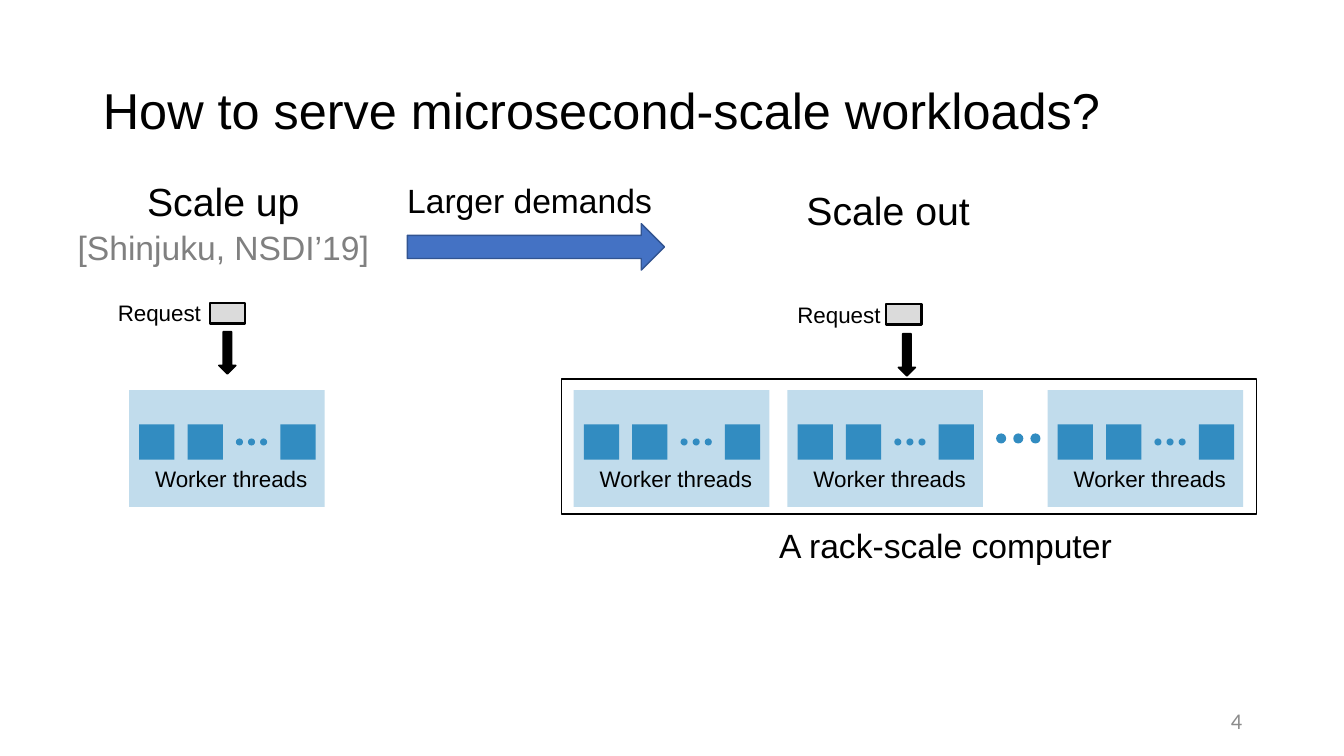
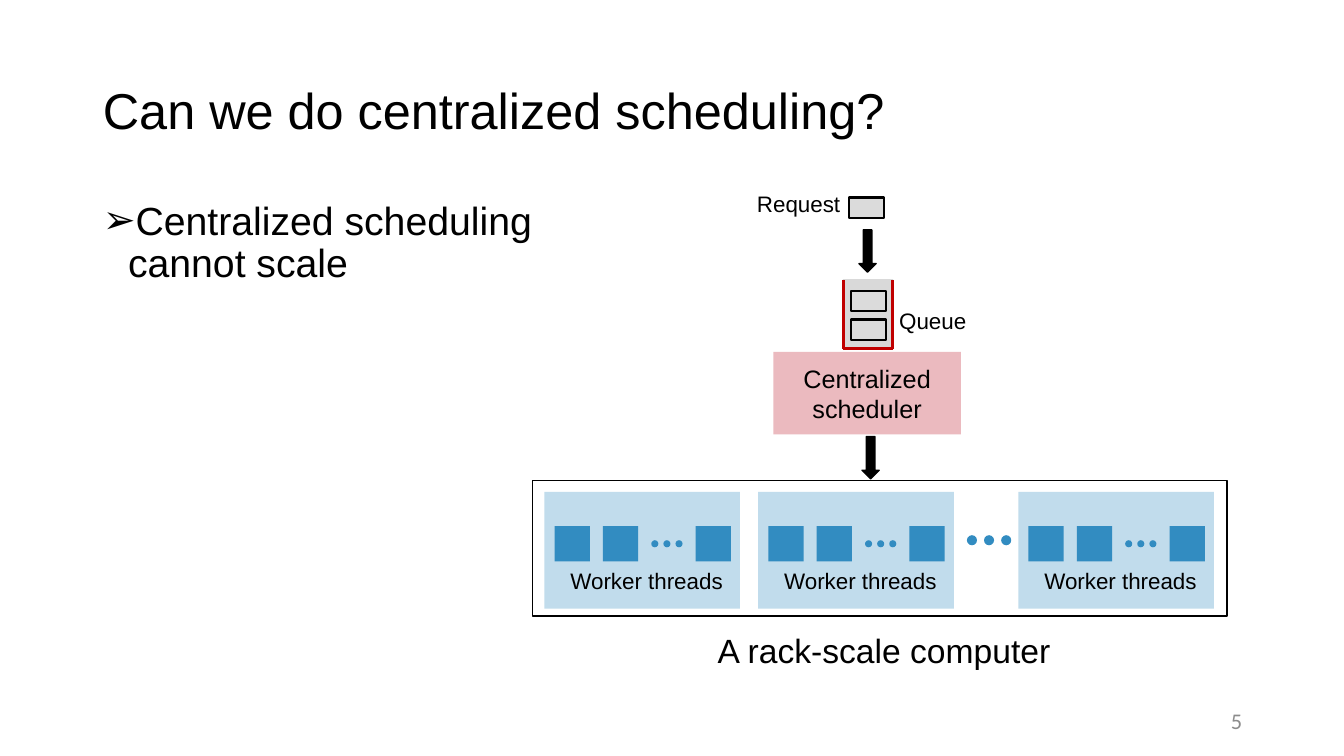
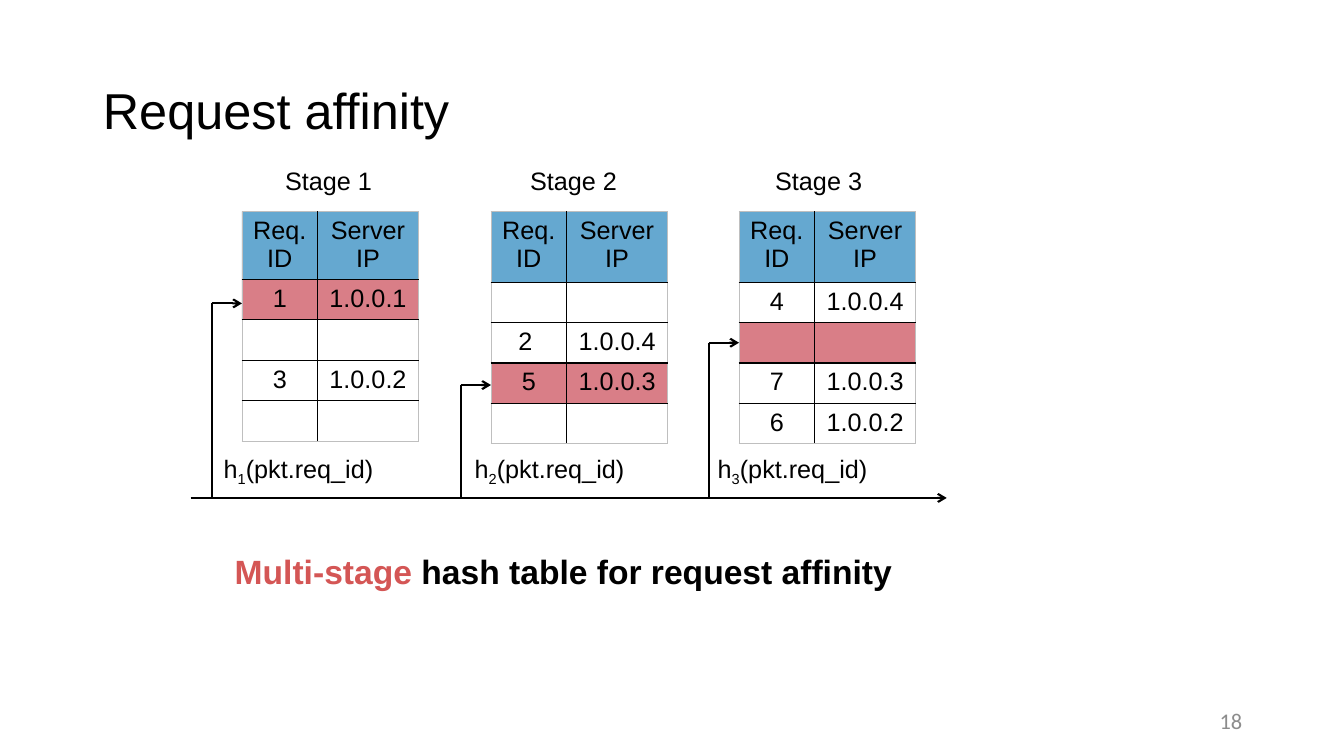
from dataclasses import dataclass
from typing import Any

from lxml import etree
from pptx import Presentation
from pptx.dml.color import RGBColor
from pptx.enum.shapes import MSO_CONNECTOR, MSO_SHAPE
from pptx.enum.text import MSO_ANCHOR, MSO_AUTO_SIZE, PP_ALIGN
from pptx.oxml.ns import qn
from pptx.util import Inches, Pt

RECTANGLE = MSO_SHAPE.RECTANGLE
ELLIPSE = MSO_SHAPE.OVAL
DOWN_ARROW = MSO_SHAPE.DOWN_ARROW
RIGHT_ARROW = MSO_SHAPE.RIGHT_ARROW
STRAIGHT = MSO_CONNECTOR.STRAIGHT
LEFT, CENTER, RIGHT = PP_ALIGN.LEFT, PP_ALIGN.CENTER, PP_ALIGN.RIGHT
TOP, MIDDLE = MSO_ANCHOR.TOP, MSO_ANCHOR.MIDDLE
NO_FIT, GROW = MSO_AUTO_SIZE.NONE, MSO_AUTO_SIZE.SHAPE_TO_FIT_TEXT

BLACK, GRAY, NUMBER_GRAY = "000000", "808080", "8C8C8C"
BLUE, RED, EMPHASIS, QUEUE_RED = "328CC1", "CD5360", "D45655", "C00000"
REQUEST_GRAY, QUEUE_GRAY, GRID_GRAY = "DBDBDB", "D9D9D9", "BFBFBF"
ARROW_BLUE, ARROW_EDGE = "4472C4", "325491"

TITLE_AND_BODY, TITLE_ONLY = 1, 5
Point = tuple[float, float]
Box = tuple[float, float, float, float]


@dataclass(frozen=True)
class Run:
    text: str
    size: float = 18
    color: str = BLACK
    bold: bool = False
    font: str = "Arial"
    baseline: int = 0


@dataclass(frozen=True)
class Request:
    label: Point
    chip: Point
    arrow: Point


@dataclass(frozen=True)
class Stage:
    left: float
    header_height: float
    rows: list[tuple[str, str]]
    marked_row: int
    pointer_top: float
    hash_left: float


def set_format(target: Any, values: dict[str, Any]) -> None:
    for name, value in values.items():
        setattr(target, name, value)


def paint(fill: Any, color: str, opacity: int = 100) -> None:
    fill.solid()
    fill.fore_color.rgb = RGBColor.from_string(color)
    if opacity < 100:
        color_element = fill._xPr.find(qn("a:solidFill"))[0]
        etree.SubElement(color_element, qn("a:alpha")).set("val", str(opacity * 1000))


def place(shape: Any, box: Box) -> None:
    names = ("left", "top", "width", "height")
    set_format(shape, dict(zip(names, map(Inches, box))))


def write(frame: Any, lines: list[list[Run]], alignment: Any = LEFT, anchor: Any = TOP,
          spacing: float = 1.0, space_before: float = 0, wrap: bool = True,
          fit: Any = NO_FIT) -> None:
    set_format(frame, {"word_wrap": wrap, "auto_size": fit, "vertical_anchor": anchor})
    for index, line in enumerate(lines):
        paragraph = frame.add_paragraph() if index else frame.paragraphs[0]
        set_format(paragraph, {
            "alignment": alignment,
            "line_spacing": spacing,
            "space_before": Pt(space_before if index else 0),
        })
        for part in line:
            run = paragraph.add_run()
            run.text = part.text
            set_format(run.font, {"name": part.font, "size": Pt(part.size), "bold": part.bold})
            paint(run.font.fill, part.color)
            if part.baseline:
                run._r.get_or_add_rPr().set("baseline", str(part.baseline * 1000))


def set_bullet(paragraph: Any, character: str = "", indent: float = 0) -> None:
    properties = paragraph._p.get_or_add_pPr()
    properties.set("marL", str(Inches(indent)))
    properties.set("indent", str(-Inches(indent)))
    if character:
        etree.SubElement(properties, qn("a:buFont")).set("typeface", "Arial")
        etree.SubElement(properties, qn("a:buChar")).set("char", character)
    else:
        etree.SubElement(properties, qn("a:buNone"))


def add_text(shapes: Any, box: Box, lines: list[list[Run]], **options: Any) -> None:
    text_box = shapes.add_textbox(*map(Inches, box))
    write(text_box.text_frame, lines, **options)


def add_label(shapes: Any, box: Box, *runs: Run) -> None:
    add_text(shapes, box, [list(runs)], wrap=False, fit=GROW)


def add_shape(shapes: Any, kind: Any, box: Box, fill: str = "", line: str = "",
              width: float = 1, opacity: int = 100) -> Any:
    shape = shapes.add_shape(kind, *map(Inches, box))
    shape.shadow.inherit = False
    if fill:
        paint(shape.fill, fill, opacity)
    else:
        shape.fill.background()
    if line:
        paint(shape.line.fill, line)
        shape.line.width = Pt(width)
    else:
        shape.line.fill.background()
    return shape


def add_line(shapes: Any, start: Point, end: Point, color: str = BLACK,
             width: float = 1.5, arrow: bool = False) -> None:
    connector = shapes.add_connector(STRAIGHT, *map(Inches, start + end))
    paint(connector.line.fill, color)
    connector.line.width = Pt(width)
    properties = connector._element.spPr
    if arrow:
        etree.SubElement(properties.find(qn("a:ln")), qn("a:tailEnd")).set("type", "arrow")
    etree.SubElement(properties, qn("a:effectLst"))


def add_dots(shapes: Any, left: float, top: float, size: float, pitch: float) -> None:
    for index in range(3):
        add_shape(shapes, ELLIPSE, (left + index * pitch, top, size, size), BLUE)


def add_server(slide: Any, left: float, top: float) -> None:
    shapes = slide.shapes.add_group_shape().shapes
    for offset in (0.1, 0.58, 1.5):
        add_shape(shapes, RECTANGLE, (left + offset, top + 0.34, 0.35, 0.35), BLUE)
    add_dots(shapes, left + 1.06, top + 0.48, 0.07, 0.12)
    add_shape(shapes, RECTANGLE, (left, top, 1.94, 1.16), BLUE, opacity=30)
    add_label(shapes, (left + 0.16, top + 0.7, 1.73, 0.37), Run("Worker threads", 16))


def add_rack(slide: Any, left: float, top: float, caption: Point) -> None:
    add_dots(slide.shapes.add_group_shape().shapes, left + 4.31, top + 0.54, 0.1, 0.17)
    add_shape(slide.shapes, RECTANGLE, (left, top, 6.89, 1.34), line=BLACK)
    for offset in (0.12, 2.24, 4.82):
        add_server(slide, left + offset, top + 0.11)
    add_text(slide.shapes, (*caption, 3.81, 0.5), [[Run("A rack-scale computer", 24)]], fit=GROW)


def add_chip(shapes: Any, left: float, top: float) -> None:
    add_shape(shapes, RECTANGLE, (left, top, 0.35, 0.2), REQUEST_GRAY, BLACK, 1.5)


def add_down_arrow(slide: Any, left: float, top: float) -> None:
    add_shape(slide.shapes, DOWN_ARROW, (left, top, 0.17, 0.42), BLACK, BLACK)


def add_request(slide: Any, request: Request) -> None:
    add_chip(slide.shapes, *request.chip)
    add_label(slide.shapes, (*request.label, 1.1, 0.37), Run("Request", 16))
    add_down_arrow(slide, *request.arrow)


def add_queue(slide: Any, left: float, top: float) -> None:
    shapes = slide.shapes.add_group_shape().shapes
    right, bottom = left + 0.48, top + 0.68
    add_shape(shapes, RECTANGLE, (left - 0.01, top - 0.01, 0.5, 0.68), QUEUE_GRAY)
    for start, end in (
        ((right, bottom), (right, top)),
        ((left, bottom), (left, top)),
        ((left - 0.01, bottom), (right + 0.01, bottom)),
    ):
        add_line(shapes, start, end, QUEUE_RED, 2.25)
    for offset in (0.39, 0.11):
        add_chip(shapes, left + 0.07, top + offset)


def set_borders(cell: Any, edges: dict[str, bool]) -> None:
    properties = cell._tc.get_or_add_tcPr()
    for side, outer in edges.items():
        line = etree.SubElement(properties, qn(f"a:ln{side}"))
        line.set("w", str(Pt(0.5 if outer else 1)))
        solid = etree.SubElement(line, qn("a:solidFill"))
        etree.SubElement(solid, qn("a:srgbClr")).set("val", GRID_GRAY if outer else BLACK)


def add_stage_table(slide: Any, stage: Stage) -> None:
    rows = [("Req.\nID", "Server\nIP"), *stage.rows]
    heights = [stage.header_height] + [0.4] * len(stage.rows)
    box = (stage.left, 2.1, 1.75, sum(heights))
    table = slide.shapes.add_table(len(rows), 2, *map(Inches, box)).table
    set_format(table, {"first_row": False, "horz_banding": False})
    for column, width in zip(table.columns, (0.75, 1)):
        column.width = Inches(width)
    for row_index, (values, height) in enumerate(zip(rows, heights)):
        table.rows[row_index].height = Inches(height)
        for column_index, value in enumerate(values):
            cell = table.cell(row_index, column_index)
            set_borders(cell, {
                "L": column_index == 0,
                "R": column_index == 1,
                "T": row_index == 0,
                "B": row_index == len(rows) - 1,
            })
            if row_index in (0, stage.marked_row):
                paint(cell.fill, RED if row_index else BLUE, 75)
            else:
                cell.fill.background()
            if value:
                lines = [[Run(text)] for text in value.split("\n")]
                write(cell.text_frame, lines, alignment=CENTER)


def add_slide(presentation: Any, layout: int, title: str, number: int) -> Any:
    slide = presentation.slides.add_slide(presentation.slide_layouts[layout])
    place(slide.shapes.title, (0.92, 0.4, 11.5, 1.45))
    write(slide.shapes.title.text_frame, [[Run(title, 36)]], anchor=MIDDLE, spacing=0.9)
    page_number = Run(str(number), 16, NUMBER_GRAY, font="Calibri")
    add_text(slide.shapes, (9.42, 6.95, 3, 0.4), [[page_number]], alignment=RIGHT, anchor=MIDDLE)
    return slide


def build_scaling(presentation: Any) -> None:
    slide = add_slide(presentation, TITLE_AND_BODY,
                      "How to serve microsecond-scale workloads?", 4)
    shapes = slide.shapes
    body = slide.placeholders[1]
    place(body, (0.18, 1.84, 4.07, 0.88))
    write(body.text_frame, [[Run("Scale up", 28)], [Run("[Shinjuku, NSDI’19]", 24, GRAY)]],
          alignment=CENTER, spacing=0.7, space_before=10)
    for paragraph in body.text_frame.paragraphs:
        set_bullet(paragraph)
    add_text(shapes, (7.9, 1.85, 2.99, 0.88), [[Run("Scale out", 28)]], spacing=0.9)
    add_shape(shapes, RIGHT_ARROW, (4.04, 2.22, 2.55, 0.46), ARROW_BLUE, ARROW_EDGE)
    add_label(shapes, (3.94, 1.74, 2.66, 0.5), Run("Larger demands", 24))
    add_request(slide, Request((1.07, 2.92), (2.08, 3.01), (2.17, 3.29)))
    add_request(slide, Request((7.81, 2.94), (8.79, 3.02), (8.91, 3.31)))
    add_server(slide, 1.28, 3.87)
    add_rack(slide, 5.57, 3.76, (7.63, 5.16))


def build_scheduling(presentation: Any) -> None:
    slide = add_slide(presentation, TITLE_AND_BODY, "Can we do centralized scheduling?", 5)
    shapes = slide.shapes
    body = slide.placeholders[1]
    place(body, (0.92, 1.95, 5.39, 4.76))
    write(body.text_frame, [[Run("Centralized scheduling cannot scale", 28)]], spacing=0.9)
    set_bullet(body.text_frame.paragraphs[0], "➢", 0.25)
    scheduler = add_shape(shapes, RECTANGLE, (7.67, 3.49, 1.86, 0.82), RED, opacity=40)
    write(scheduler.text_frame, [[Run("Centralized scheduler")]], alignment=CENTER, anchor=MIDDLE)
    add_request(slide, Request((7.41, 1.84), (8.42, 1.96), (8.52, 2.28)))
    add_queue(slide, 8.37, 2.78)
    add_label(shapes, (8.82, 3, 0.95, 0.37), Run("Queue", 16))
    add_down_arrow(slide, 8.55, 4.33)
    add_rack(slide, 5.28, 4.77, (7.02, 6.2))


def build_affinity(presentation: Any) -> None:
    slide = add_slide(presentation, TITLE_ONLY, "Request affinity", 18)
    shapes = slide.shapes
    empty = ("", "")
    stages = [
        Stage(2.4, 0.67, [("1", "1.0.0.1"), empty, ("3", "1.0.0.2"), empty], 1, 3.01, 2.12),
        Stage(4.87, 0.7, [empty, ("2 ", "1.0.0.4"), ("5", "1.0.0.3"), empty], 3, 3.82, 4.61),
        Stage(7.33, 0.7, [("4", "1.0.0.4"), empty, ("7", "1.0.0.3"), ("6", "1.0.0.2")],
              2, 3.4, 7.02),
    ]
    trunk_top = 4.94
    add_line(shapes, (1.89, trunk_top), (9.39, trunk_top), arrow=True)
    for index, stage in enumerate(stages):
        number = str(index + 1)
        branch = stage.left - 0.3
        add_stage_table(slide, stage)
        add_label(shapes, (2.73 + 2.43 * index, 1.59, 1.49, 0.4), Run(f"Stage {number}"))
        add_label(shapes, (stage.hash_left, 4.45, 1.69, 0.4),
                  Run("h"), Run(number, baseline=-25), Run("(pkt.req_id)"))
        add_line(shapes, (branch, trunk_top), (branch, stage.pointer_top))
        add_line(shapes, (branch, stage.pointer_top), (stage.left, stage.pointer_top), arrow=True)
    add_text(shapes, (2.23, 5.42, 8.04, 0.5), [[
        Run("Multi-stage ", 24, EMPHASIS, True),
        Run("hash table for request affinity", 24, bold=True),
    ]], fit=GROW)


def main() -> None:
    presentation = Presentation()
    set_format(presentation, {"slide_width": Inches(13.33), "slide_height": Inches(7.5)})
    for build in (build_scaling, build_scheduling, build_affinity):
        build(presentation)
    presentation.save("out.pptx")


if __name__ == "__main__":
    main()
